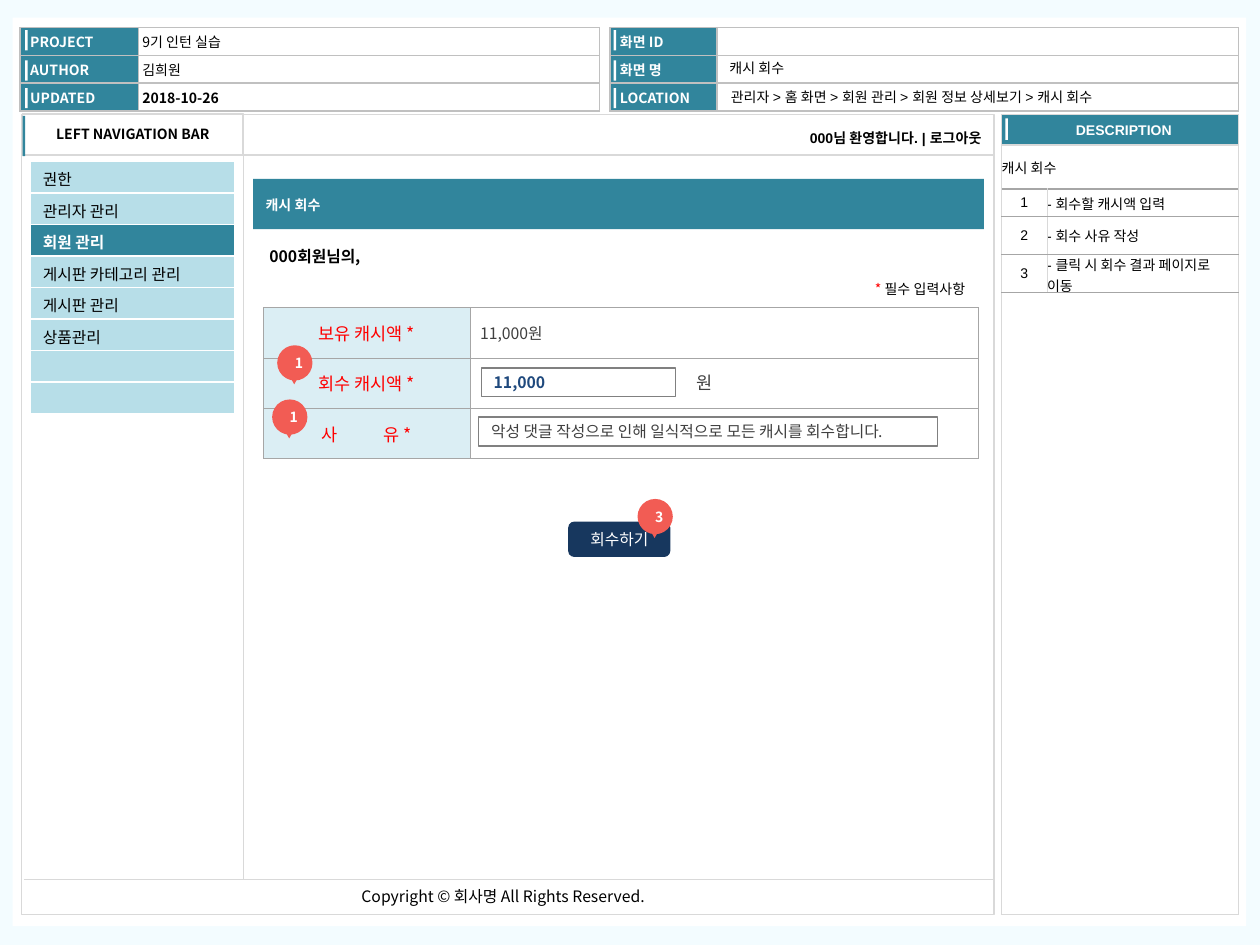
import dataclasses

import lxml.etree
import pptx
import pptx.dml.color
import pptx.enum.shapes
import pptx.enum.text
import pptx.oxml.ns
import pptx.util

Inches, Pt = pptx.util.Inches, pptx.util.Pt
qn = pptx.oxml.ns.qn
SHAPE = pptx.enum.shapes.MSO_SHAPE
ANCHOR = pptx.enum.text.MSO_ANCHOR
ALIGN = pptx.enum.text.PP_ALIGN


@dataclasses.dataclass(frozen=True)
class Theme:
    korean: str = "Noto Sans CJK KR"
    latin: str = "Arial"
    small: int = 8
    body: int = 9
    label: int = 10
    backdrop: str = "F3FCFF"
    white: str = "FFFFFF"
    black: str = "000000"
    teal: str = "31859C"
    menu: str = "B7DEE8"
    field: str = "DBEEF4"
    navy: str = "17375E"
    amount: str = "1F497D"
    marker: str = "F25C54"
    required: str = "FF0000"
    gray_text: str = "404040"
    input_line: str = "808080"
    silver: str = "C0C0C0"
    pale: str = "D9D9D9"
    rule: str = "A6A6A6"


THEME = Theme()


def rgb(value):
    return pptx.dml.color.RGBColor.from_string(value)


def write(frame, text, size=THEME.small, font=THEME.korean, color=THEME.black,
          bold=False, align=ALIGN.LEFT, anchor=ANCHOR.TOP, inset=None, wrap=True, before=0):
    """Fill a frame with a string, or with (text, color, letter spacing) spans."""
    frame.word_wrap = wrap
    frame.vertical_anchor = anchor
    if not wrap:
        frame.auto_size = pptx.enum.text.MSO_AUTO_SIZE.SHAPE_TO_FIT_TEXT
    if inset:
        (frame.margin_left, frame.margin_top,
         frame.margin_right, frame.margin_bottom) = map(Inches, inset)
    para = frame.paragraphs[0]
    para.alignment = align
    para.space_before = Pt(before)
    for words, tint, spacing in [(text, color, 0)] if isinstance(text, str) else text:
        span = para.add_run()
        span.text = words
        span.font.size, span.font.bold, span.font.name = Pt(size), bold, font
        span.font.color.rgb = rgb(tint)
        props = span.font._element
        lxml.etree.SubElement(props, qn("a:ea"), typeface=THEME.korean)
        if spacing:
            props.set("spc", str(spacing * 100))


@dataclasses.dataclass
class Wireframe:
    theme: Theme
    page: object

    def box(self, left, top, width, height, fill=None, line=None, kind=SHAPE.RECTANGLE,
            text=None, group=None, **fmt):
        shapes = group.shapes if group else self.page.shapes
        box = shapes.add_shape(kind, *map(Inches, (left, top, width, height)))
        box.shadow.inherit = False
        if fill:
            box.fill.solid()
            box.fill.fore_color.rgb = rgb(fill)
        else:
            box.fill.background()
        if line:
            box.line.color.rgb = rgb(line)
            box.line.width = Pt(0.75)
        else:
            box.line.fill.background()
        if text:
            write(box.text_frame, text, **fmt)
        return box

    def text(self, left, top, width, height, text, **fmt):
        box = self.page.shapes.add_textbox(*map(Inches, (left, top, width, height)))
        write(box.text_frame, text, **fmt)

    def line(self, x1, y1, x2, y2, width):
        line = self.page.shapes.add_connector(
            pptx.enum.shapes.MSO_CONNECTOR.STRAIGHT, *map(Inches, (x1, y1, x2, y2)))
        line.line.color.rgb = rgb(self.theme.pale)
        line.line.width = Pt(width)
        lxml.etree.SubElement(line._element.spPr, qn("a:effectLst"))

    def table(self, left, top, columns, rows):
        frame = self.page.shapes.add_table(
            len(rows), len(columns), *map(Inches, (left, top, sum(columns), sum(rows))))
        table = frame.table
        table.first_row = table.horz_banding = False
        for column, width in zip(table.columns, columns):
            column.width = Inches(width)
        for row, height in zip(table.rows, rows):
            row.height = Inches(height)
        return table

    def cell(self, cell, text=None, fill=None, edges=None, sides=None, width=1, **fmt):
        """Format a cell; edges colours every border, sides overrides some by letter."""
        props = cell._tc.get_or_add_tcPr()
        for side in "LRTB":
            border = lxml.etree.SubElement(props, qn(f"a:ln{side}"), w=str(int(Pt(width))))
            solid = lxml.etree.SubElement(border, qn("a:solidFill"))
            lxml.etree.SubElement(solid, qn("a:srgbClr"), val=(sides or {}).get(side, edges))
        if fill:
            cell.fill.solid()
            cell.fill.fore_color.rgb = rgb(fill)
        else:
            cell.fill.background()
        if text:
            anchor = fmt.pop("anchor", ANCHOR.MIDDLE)
            inset = fmt.pop("inset")
            write(cell.text_frame, text, **fmt)
            cell.vertical_anchor = anchor
            (cell.margin_left, cell.margin_top,
             cell.margin_right, cell.margin_bottom) = map(Inches, inset)
        else:
            para = cell.text_frame.paragraphs[0]
            lxml.etree.SubElement(para._p, qn("a:endParaRPr"), sz=str(self.theme.small * 100))
            cell.margin_top = cell.margin_bottom = 0

    def header(self, left, columns, rows):
        table = self.table(left, 0.22, columns, [0.22] * len(rows))
        for index, (name, value, bold) in enumerate(rows):
            self.cell(table.cell(index, 0), name, fill=self.theme.teal, edges=self.theme.silver,
                      color=self.theme.white, bold=True, inset=(0.08, 0, 0.03, 0), before=1.6)
            self.cell(table.cell(index, 1), value, fill=self.theme.white, bold=bold,
                      edges=self.theme.silver, inset=(0.03, 0, 0.03, 0), before=1.6)

    def marker(self, left, top, number):
        group = self.page.shapes.add_group_shape()
        self.box(left, top, 0.28, 0.28, self.theme.marker, kind=SHAPE.OVAL, text=number,
                 group=group, color=self.theme.white, bold=True, align=ALIGN.CENTER,
                 anchor=ANCHOR.MIDDLE)
        tip = self.box(left + 0.09, top + 0.23, 0.09, 0.08, self.theme.marker,
                       kind=SHAPE.ISOSCELES_TRIANGLE, group=group)
        tip.rotation = 180


def main():
    deck = pptx.Presentation()
    deck.slide_width, deck.slide_height = Inches(10), Inches(7.5)
    page = deck.slides.add_slide(deck.slide_layouts[6])
    t = THEME
    page.background.fill.solid()
    page.background.fill.fore_color.rgb = rgb(t.backdrop)
    frame = Wireframe(t, page)
    middle, center = ANCHOR.MIDDLE, ALIGN.CENTER
    tight = (0.08, 0.04, 0.08, 0.04)

    # Page sheet and document header
    frame.box(0.1, 0.14, 9.79, 7.21, t.white)
    frame.header(0.16, (0.94, 3.66), [("PROJECT", "9기 인턴 실습", False),
                                      ("AUTHOR", "김희원", False),
                                      ("UPDATED", "2018-10-26", True)])
    frame.header(4.84, (0.85, 4.14), [("화면 ID", None, False), ("화면 명", None, False),
                                      ("LOCATION", None, False)])
    for left in (0.2, 4.87):
        for top in (0.24, 0.48, 0.7):
            frame.box(left, top, 0.02, 0.16, t.white)
    frame.text(5.72, 0.66, 3.45, 0.2, "관리자 > 홈 화면 > 회원 관리 > 회원 정보 상세보기 > 캐시 회수",
               font=t.latin, inset=tight)
    frame.text(5.71, 0.43, 2.9, 0.2, "캐시 회수", font=t.latin, inset=tight)
    frame.box(0.17, 0.91, 7.72, 6.35, line=t.pale)

    # Description panel
    panel = frame.table(7.95, 0.91, [1.88], [0.25, 6.1])
    frame.cell(panel.cell(0, 0), "DESCRIPTION", fill=t.teal, edges=t.pale, sides={"B": t.silver},
               font=t.latin, color=t.white, bold=True, align=center, inset=(0.06, 0, 0, 0),
               before=1.6)
    frame.cell(panel.cell(1, 0), fill=t.white, edges=t.pale, sides={"T": t.silver})
    frame.box(7.98, 0.94, 0.02, 0.17, t.white)
    notes = frame.table(7.95, 1.15, [0.36, 1.52], [0.35, 0.22, 0.3, 0.3])
    notes.cell(0, 0).merge(notes.cell(0, 1))
    note_style = dict(fill=t.white, edges=t.pale, font=t.latin, inset=(0, 0, 0, 0), before=1.6)
    for column, title in enumerate(("캐시 회수", None)):
        frame.cell(notes.cell(0, column), title, sides={"B": t.rule}, **note_style)
    for row, note in enumerate(("- 회수할 캐시액 입력", "- 회수 사유 작성",
                                "- 클릭 시 회수 결과 페이지로 이동"), 1):
        for column, (text, align) in enumerate(((str(row), center), (note, ALIGN.LEFT))):
            frame.cell(notes.cell(row, column), text, align=align, width=0.5,
                       sides={"T": t.rule, "B": t.rule}, **note_style)

    # Screen frame: footer, navigation heading, greeting
    frame.line(0.19, 6.98, 7.89, 6.98, 1)
    frame.text(2.77, 6.99, 2.52, 0.25, "Copyright © 회사명 All Rights Reserved.",
               size=t.body, wrap=False)
    frame.box(0.18, 0.9, 1.75, 0.33, line=t.pale, text="LEFT NAVIGATION BAR", bold=True,
              align=center, anchor=middle)
    frame.box(0.18, 0.92, 0.02, 0.32, t.teal)
    frame.line(1.93, 0.91, 1.93, 6.98, 0.75)
    frame.line(1.93, 1.23, 7.89, 1.23, 1)
    frame.text(5.29, 0.99, 2.58, 0.22, "000님 환영합니다. | 로그아웃", font=t.latin, bold=True,
               align=ALIGN.RIGHT, inset=tight)

    # Title banner
    banner = page.shapes.add_group_shape()
    frame.box(2.01, 1.42, 5.8, 0.4, t.teal, group=banner)
    frame.box(2.01, 1.51, 5.14, 0.24, t.teal, group=banner, text="캐시 회수", color=t.white, bold=True)

    # Navigation menu
    items = ("권한", "관리자 관리", "회원 관리", "게시판 카테고리 관리", "게시판 관리", "상품관리", None, None)
    menu = frame.table(0.24, 1.28, [1.62], [0.25] * len(items))
    for row, item in enumerate(items):
        active = item == "회원 관리"
        frame.cell(menu.cell(row, 0), item, fill=t.teal if active else t.menu, edges=t.white,
                   size=t.body, color=t.white if active else t.black, bold=active,
                   anchor=ANCHOR.TOP, inset=(0.1, 0.05, 0.1, 0))

    # Collection form
    frame.text(2.04, 1.91, 0.96, 0.25, "000회원님의,", size=t.body, bold=True, wrap=False)
    frame.box(4.51, 4.14, 0.81, 0.28, t.navy, kind=SHAPE.ROUNDED_RECTANGLE, text="회수하기",
              size=t.body, color=t.white, align=center, anchor=middle)
    frame.marker(5.06, 3.96, "3")
    reason = [("사", t.required, 0), (" ", t.required, 24), ("유 *", t.required, 0)]
    form = frame.table(2.09, 2.44, [1.64, 4.03], [0.4] * 3)
    for row, (label, value) in enumerate((("보유 캐시액 *", "11,000원"), ("회수 캐시액 *", None),
                                          (reason, None))):
        frame.cell(form.cell(row, 0), label, fill=t.field, edges=t.rule, width=0.25,
                   size=t.label, color=t.required, align=center, inset=tight, before=2)
        frame.cell(form.cell(row, 1), value, edges=t.rule, width=0.25, size=t.body,
                   color=t.gray_text, inset=tight, before=1.8)
    frame.box(3.8, 3.31, 3.64, 0.23, line=t.input_line, size=t.body, color=t.gray_text,
              text="악성 댓글 작성으로 인해 일식적으로 모든 캐시를 회수합니다.", anchor=middle, before=1.8)
    frame.text(5.43, 2.9, 0.34, 0.27, "원", size=t.label, color=t.gray_text, wrap=False)
    frame.box(3.82, 2.92, 1.54, 0.23, line=t.input_line, text="11,000", size=t.body,
              color=t.amount, bold=True, anchor=middle, before=1.8)
    frame.text(6.34, 2.18, 1.42, 0.24, [("* ", t.required, 0), ("필수 입력사항", t.black, 0)],
               align=ALIGN.RIGHT)
    frame.marker(2.2, 2.74, "1")
    frame.marker(2.16, 3.17, "1")

    deck.save("out.pptx")


if __name__ == "__main__":
    main()
